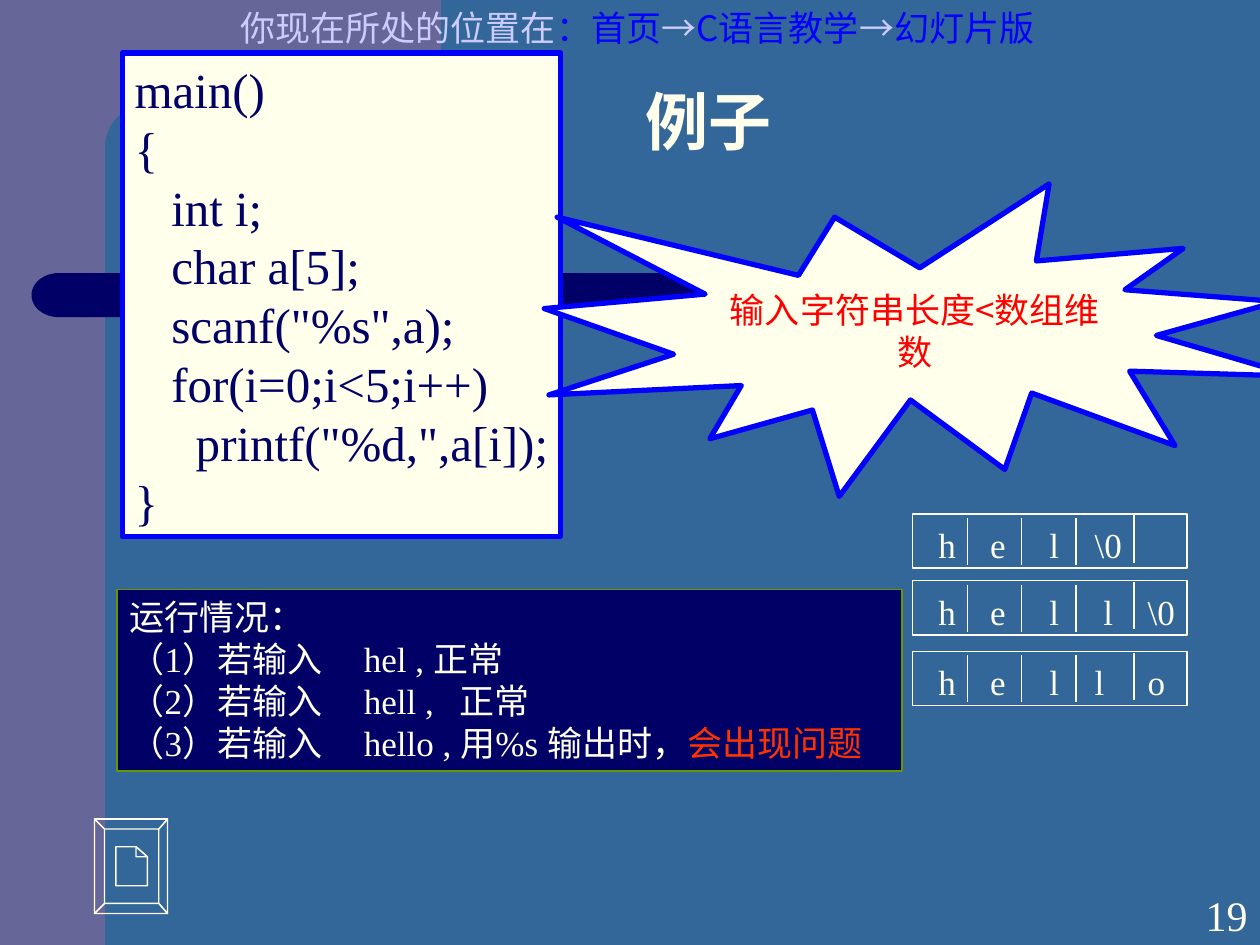
from lxml import etree
from pptx import Presentation
from pptx.dml.color import RGBColor
from pptx.enum.shapes import MSO_CONNECTOR, MSO_SHAPE
from pptx.enum.text import MSO_ANCHOR, MSO_AUTO_SIZE, PP_ALIGN
from pptx.oxml.ns import qn
from pptx.util import Inches, Pt

RECTANGLE = MSO_SHAPE.RECTANGLE
LEFT, CENTER, RIGHT = PP_ALIGN.LEFT, PP_ALIGN.CENTER, PP_ALIGN.RIGHT
TOP, MIDDLE, BOTTOM = MSO_ANCHOR.TOP, MSO_ANCHOR.MIDDLE, MSO_ANCHOR.BOTTOM

TEAL = RGBColor(0x33, 0x66, 0x99)
PURPLE = RGBColor(0x66, 0x66, 0x99)
NAVY = RGBColor(0x00, 0x00, 0x66)
BLUE = RGBColor(0x00, 0x00, 0xFF)
LAVENDER = RGBColor(0xCC, 0xCC, 0xFF)
IVORY = RGBColor(0xFF, 0xFF, 0xEB)
GREEN = RGBColor(0x66, 0x99, 0x00)
RED = RGBColor(0xFF, 0x00, 0x00)
ORANGE = RGBColor(0xFF, 0x33, 0x00)

SERIF, SANS, CHINESE = "Times New Roman", "Arial", "Noto Sans CJK SC"

presentation = Presentation()
presentation.slide_width, presentation.slide_height = Inches(10), Inches(7.5)
# The page is a grid of 100 columns by 75 rows.
COLUMN = presentation.slide_width / 100
ROW = presentation.slide_height / 75

slide = presentation.slides.add_slide(presentation.slide_layouts[5])
slide.background.fill.solid()
slide.background.fill.fore_color.rgb = TEAL
shapes = slide.shapes


def add_block(kind, left, top, width, height, fill=None, line=None, weight=0.75):
    """Add a preset shape, placed in grid columns and rows."""
    shape = shapes.add_shape(kind, int(left * COLUMN), int(top * ROW),
                             int(width * COLUMN), int(height * ROW))
    shape.shadow.inherit = False
    if fill is None:
        shape.fill.background()
    else:
        shape.fill.solid()
        shape.fill.fore_color.rgb = fill
    if line is None:
        shape.line.fill.background()
    else:
        shape.line.color.rgb = line
        shape.line.width = Pt(weight)
    return shape


def write(shape, lines, size=20, font=SERIF, color=IVORY, bold=False, align=LEFT,
          anchor=TOP, wrap=True, grow=False, spacing=None, tabs=()):
    """Fill a shape; a line is a string or a list of (text, color, font) runs."""
    frame = shape.text_frame
    frame.word_wrap = wrap
    frame.auto_size = MSO_AUTO_SIZE.SHAPE_TO_FIT_TEXT if grow else MSO_AUTO_SIZE.NONE
    frame.vertical_anchor = anchor
    for index, line in enumerate(lines):
        paragraph = frame.paragraphs[0] if index == 0 else frame.add_paragraph()
        paragraph.alignment = align
        if spacing:
            paragraph.line_spacing = spacing
        if tabs:
            tab_list = etree.SubElement(paragraph._p.get_or_add_pPr(), qn("a:tabLst"))
            for tab in tabs:
                etree.SubElement(tab_list, qn("a:tab"), pos=str(int(tab * COLUMN)), algn="l")
        runs = [(line, color, font)] if isinstance(line, str) else line
        for text, run_color, run_font in runs:
            run = paragraph.add_run()
            run.text = text
            run.font.size = Pt(size)
            run.font.bold = bold
            run.font.name = run_font
            run.font.color.rgb = run_color
            east_asian = etree.SubElement(run._r.get_or_add_rPr(), qn("a:ea"))
            east_asian.set("typeface", CHINESE)


# Background decoration
add_block(RECTANGLE, 0, 0, 8.33, 75, PURPLE)
add_block(RECTANGLE, 7.5, 0, 27.5, 11.67, PURPLE)
corner = add_block(MSO_SHAPE.ROUNDED_RECTANGLE, 8.33, 8.33, 55.83, 6.67, TEAL)
corner.adjustments[0] = 0.5
add_block(RECTANGLE, 6.7, 21.67, 76.7, 3.5, NAVY)
bar_end = add_block(MSO_SHAPE.FLOWCHART_DELAY, 2.5, 21.67, 4.3, 3.5, NAVY)
bar_end.rotation = 180

# Breadcrumb and page number
breadcrumb = add_block(RECTANGLE, 18.1, 0, 66.9, 4.4)
write(breadcrumb, [[
    ("你现在所处的位置在", LAVENDER, CHINESE), ("：首页", BLUE, CHINESE),
    ("→", LAVENDER, SANS), ("C语言教学", BLUE, CHINESE),
    ("→", LAVENDER, SANS), ("幻灯片版", BLUE, CHINESE)]])
page_number = add_block(RECTANGLE, 90, 70.1, 10, 5)
write(page_number, ["19"], size=24, align=RIGHT, anchor=BOTTOM)

# Program listing
code = add_block(RECTANGLE, 9.7, 4.2, 34.8, 38.4, IVORY, BLUE, 3)
write(code, [
    "main()",
    "{",
    "   int i;",
    "   char a[5];",
    '   scanf("%s",a);',
    "   for(i=0;i<5;i++)",
    '     printf("%d,",a[i]);',
    "}",
], size=28, color=NAVY, anchor=MIDDLE, wrap=False, grow=True)

# Results of running it
results = add_block(RECTANGLE, 9.3, 46.8, 62.3, 14.4, NAVY, GREEN)
write(results, [
    "运行情况：",
    "（1）若输入\thel , 正常",
    "（2）若输入\thell ,\t正常",
    [("（3）若输入\thello , 用%s 输出时，", IVORY, SERIF), ("会出现问题", ORANGE, SERIF)],
], wrap=False, grow=True, tabs=(18.6, 26.2))

# Array contents: one row of five cells for each input
DIVIDERS = ((76.8, 0.3), (81.1, 0.3), (85.4, 0.3), (90, 0.1))
ARRAYS = (
    (40.8, "h\te\tl\t\\0", 12.4),
    (46.1, "h\te\tl\tl\t\\0", 13.1),
    (51.7, "h\te\tl\tl\to", 12.4),
)
for top, letters, fourth_tab in ARRAYS:
    add_block(RECTANGLE, 72.4, top, 21.8, 4.3, line=IVORY)
    for column, drop in DIVIDERS:
        divider = shapes.add_connector(
            MSO_CONNECTOR.STRAIGHT, int(column * COLUMN), int((top + drop) * ROW),
            int(column * COLUMN), int((top + drop + 3.75) * ROW))
        divider.line.color.rgb = IVORY
        divider.line.width = Pt(0.75)
        etree.SubElement(divider._element.spPr, qn("a:effectLst"))
    cells = add_block(RECTANGLE, 73.5, top + 0.25, 21, 4.4)
    write(cells, [letters], tabs=(4.1, 8.8, fourth_tab, 16.6))

# Bevelled document button, outlined in tenths of a column
OUTER = (75, 650), (133, 650), (133, 725), (75, 725)
INNER = (83, 658), (126, 658), (126, 717), (83, 717)
outlines = [OUTER]
for side in range(4):
    after = (side + 1) % 4
    outlines.append((OUTER[side], OUTER[after], INNER[after], INNER[side]))
outlines.append(((92, 672), (108, 672), (117, 680), (117, 703), (92, 703)))
outlines.append(((108, 672), (117, 680), (108, 680)))
builder = shapes.build_freeform(*OUTER[0], scale=COLUMN / 10)
for index, outline in enumerate(outlines):
    if index:
        builder.move_to(*outline[0])
    builder.add_line_segments(outline[1:], close=True)
button = builder.convert_to_shape()
button.shadow.inherit = False
button.fill.solid()
button.fill.fore_color.rgb = TEAL
button.line.color.rgb = IVORY
button.line.width = Pt(0.75)

# Callout
burst = add_block(MSO_SHAPE.EXPLOSION1, 43.2, 14.6, 59.6, 24.8, IVORY, BLUE, 3)
write(burst, ["输入字符串长度<数组维数"], font=CHINESE, color=RED, align=CENTER, anchor=MIDDLE)

# Title, brought in front of the decoration
title = shapes.title
title.left, title.top = int(50.2 * COLUMN), int(7.1 * ROW)
title.width, title.height = int(18.9 * COLUMN), int(6 * ROW)
write(title, ["例子"], size=36, font=SANS, bold=True, anchor=BOTTOM, spacing=0.9)
shapes._spTree.append(title._element)

presentation.save("out.pptx")
